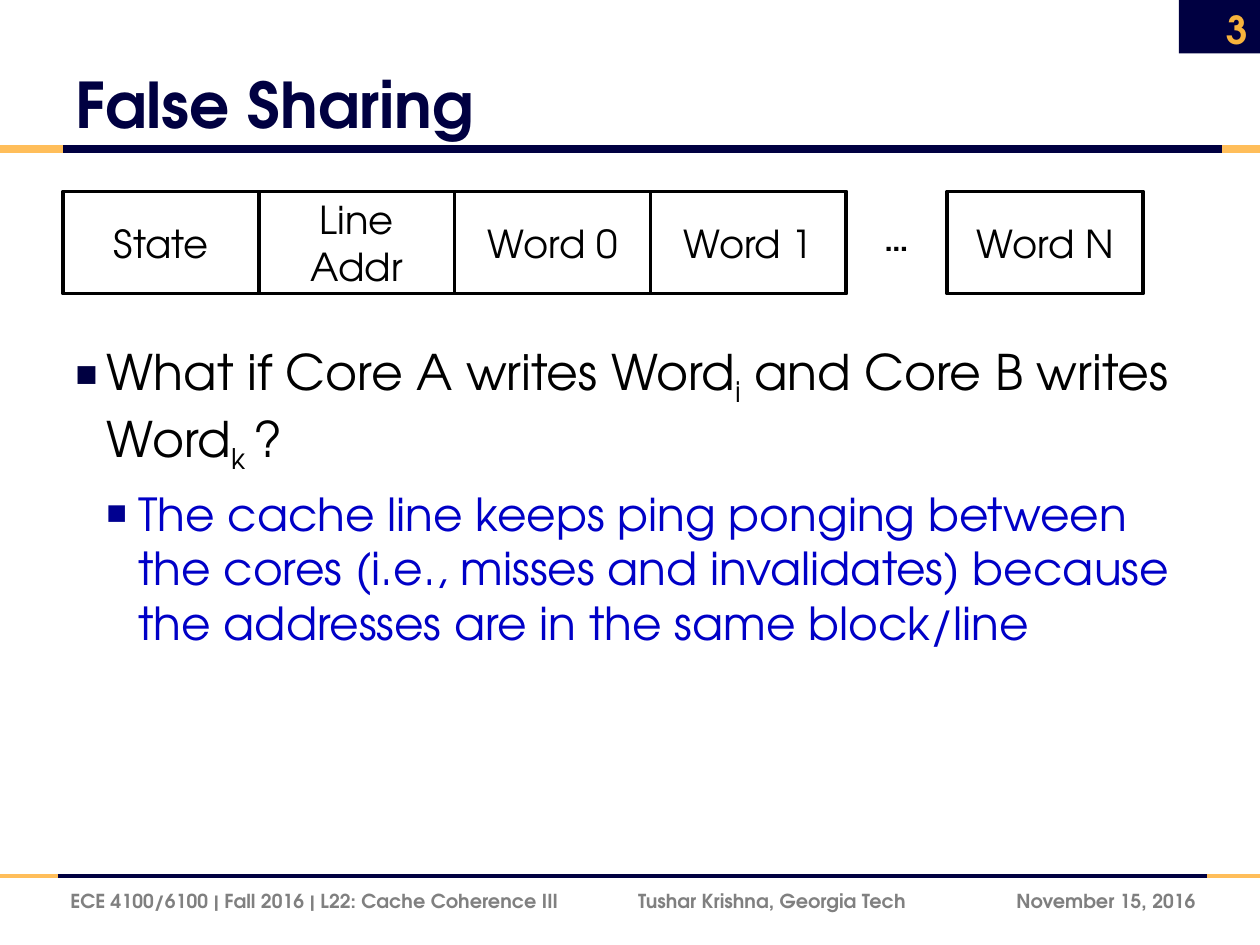
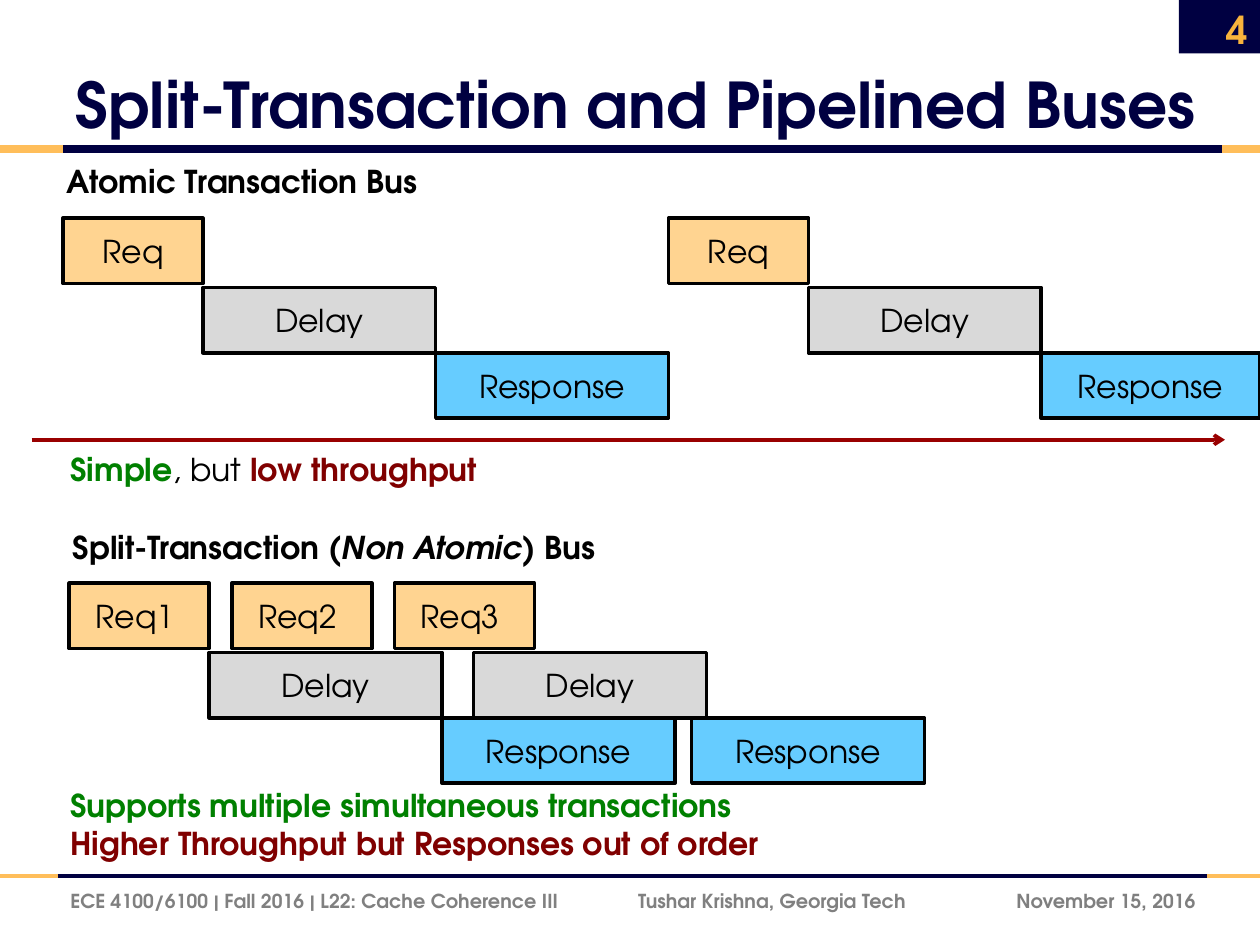
from dataclasses import dataclass

import lxml.etree
import pptx
import pptx.dml.color
import pptx.enum.shapes
import pptx.enum.text
import pptx.oxml.ns
import pptx.util

Pt = pptx.util.Pt
Align = pptx.enum.text.PP_ALIGN
Anchor = pptx.enum.text.MSO_ANCHOR


@dataclass(frozen=True)
class Theme:
    font: str = "TeX Gyre Adventor"
    navy: str = "000041"
    gold: str = "FFBE5A"
    number: str = "F8B33C"
    footer: str = "808080"
    date: str = "7F7F7F"
    black: str = "000000"
    white: str = "FFFFFF"
    detail: str = "0000C7"
    detail_bullet: str = "000090"
    good: str = "008000"
    bad: str = "800000"
    arrow: str = "990000"
    request: str = "FFD491"
    delay: str = "D9D9D9"
    response: str = "66CCFF"
    title_size: int = 36
    question_size: int = 28
    detail_size: int = 26
    cell_size: int = 22
    label_size: int = 18
    footer_size: int = 11


THEME = Theme()
ROW_TOPS = (0, 39.6, 77)
BAR_HEIGHT = 37.4
REQUEST_WIDTH = 80
PHASE_WIDTH = 133


def rgb(color):
    return pptx.dml.color.RGBColor.from_string(color)


def add_xml(parent, tag, **attributes):
    return lxml.etree.SubElement(parent, pptx.oxml.ns.qn(tag), **attributes)


def add_before_defaults(para, tag, **attributes):
    properties = para._p.get_or_add_pPr()
    element = add_xml(properties, tag, **attributes)
    properties.find(pptx.oxml.ns.qn("a:defRPr")).addprevious(element)
    return element


def style_para(para, size, color, bold=False, align=Align.LEFT):
    para.alignment = align
    para.font.name = THEME.font
    para.font.size = Pt(size)
    para.font.bold = bold
    para.font.color.rgb = rgb(color)


def add_span(para, text, color=None, bold=None, italic=None, subscript=False):
    span = para.add_run()
    span.text = text
    if color:
        span.font.color.rgb = rgb(color)
    if bold is not None:
        span.font.bold = bold
    if italic is not None:
        span.font.italic = italic
    if subscript:
        span._r.get_or_add_rPr().set("baseline", "-25000")


def add_box(page, left, top, width, height, anchor=Anchor.TOP):
    box = page.shapes.add_textbox(Pt(left), Pt(top), Pt(width), Pt(height))
    box.text_frame.word_wrap = True
    box.text_frame.vertical_anchor = anchor
    return box.text_frame


def add_label(page, text, left, top, width, height=28.8, size=THEME.label_size,
              color=THEME.black, align=Align.LEFT, anchor=Anchor.TOP):
    para = add_box(page, left, top, width, height, anchor).paragraphs[0]
    style_para(para, size, color, True, align)
    if text:
        add_span(para, text)
    return para


def add_rectangle(page, left, top, width, height, fill, outline=None):
    shape = page.shapes.add_shape(pptx.enum.shapes.MSO_SHAPE.RECTANGLE,
                                  Pt(left), Pt(top), Pt(width), Pt(height))
    shape.shadow.inherit = False
    shape.fill.solid()
    shape.fill.fore_color.rgb = rgb(fill)
    if outline:
        shape.line.color.rgb = rgb(outline)
        shape.line.width = Pt(2)
    else:
        shape.line.fill.background()
    return shape


def add_block(page, text, left, top, width, height, fill, size):
    frame = add_rectangle(page, left, top, width, height, fill, THEME.black).text_frame
    frame.word_wrap = True
    frame.vertical_anchor = Anchor.MIDDLE
    style_para(frame.paragraphs[0], size, THEME.black, align=Align.CENTER)
    add_span(frame.paragraphs[0], text)


def add_line(page, start, end, top, color, weight, arrow=False):
    line = page.shapes.add_connector(pptx.enum.shapes.MSO_CONNECTOR.STRAIGHT,
                                     Pt(start), Pt(top), Pt(end), Pt(top))
    line.line.color.rgb = rgb(color)
    line.line.width = Pt(weight)
    properties = line._element.spPr
    if arrow:
        add_xml(properties.find(pptx.oxml.ns.qn("a:ln")), "a:tailEnd", type="arrow")
    add_xml(properties, "a:effectLst")


def add_band(page, top, navy_start, navy_end, weight):
    stops = (0, navy_start, navy_end, 720)
    colors = (THEME.gold, THEME.navy, THEME.gold)
    for start, end, color in zip(stops, stops[1:], colors):
        add_line(page, start, end, top, color, weight)


def add_footer(page):
    add_label(page, "November 15, 2016", 552.2, 500.4, 138.2, size=THEME.footer_size,
              color=THEME.date, align=Align.RIGHT, anchor=Anchor.MIDDLE)
    para = add_label(page, "ECE 4100/6100 | Fall 2016 | L22: Cache Coherence III\t"
                     "Tushar Krishna, Georgia Tech", 33.1, 500.4, 535,
                     size=THEME.footer_size, color=THEME.footer, anchor=Anchor.MIDDLE)
    tabs = add_before_defaults(para, "a:tabLst")
    add_xml(tabs, "a:tab", pos=str(int(Pt(324.5))), algn="l")


def add_page(deck, title, number, title_width):
    page = deck.slides.add_slide(deck.slide_layouts[5])
    holder = page.shapes.title
    holder.left, holder.top = Pt(36), Pt(12.2)
    holder.width, holder.height = Pt(title_width), Pt(72)
    frame = holder.text_frame
    frame.auto_size = pptx.enum.text.MSO_AUTO_SIZE.NONE
    frame.vertical_anchor = Anchor.BOTTOM
    style_para(frame.paragraphs[0], THEME.title_size, THEME.navy, True)
    add_span(frame.paragraphs[0], title)
    add_rectangle(page, 673.6, 0, 46.4, 30.5, THEME.navy)
    add_band(page, 85, 36, 698.4, 4.5)
    add_band(page, 500.4, 33.1, 689.8, 2.25)
    add_footer(page)
    add_label(page, str(number), 672.5, 2.2, 48, size=THEME.cell_size,
              color=THEME.number, align=Align.RIGHT, anchor=Anchor.MIDDLE)
    return page


def format_bullet(para, level, size, color, bullet_color, space_before):
    style_para(para, size, color)
    para.level = level
    para.space_before = Pt(space_before)
    properties = para._p.get_or_add_pPr()
    properties.set("marL", str(int(Pt(18 * (level + 1)))))
    properties.set("indent", str(int(Pt(-18))))
    add_xml(add_before_defaults(para, "a:buClr"), "a:srgbClr", val=bullet_color)
    add_before_defaults(para, "a:buSzPct", val="65000")
    add_before_defaults(para, "a:buFont", typeface=THEME.font)
    add_before_defaults(para, "a:buChar", char="■")


def build_false_sharing(deck):
    page = add_page(deck, "False Sharing", 3, 589)
    cell_width = 111.9
    fields = ("State", "Line Addr", "Word 0", "Word 1")
    lefts = [36 + index * cell_width for index in range(len(fields))]
    for text, left in zip(fields + ("Word N",), lefts + [541.3]):
        add_block(page, text, left, 109.4, cell_width, 58.5, THEME.white, THEME.cell_size)
    add_label(page, "…", 498.2, 122.4, 40.3)

    frame = add_box(page, 36, 191.5, 653.8, 303.1)
    question = frame.paragraphs[0]
    format_bullet(question, 0, THEME.question_size, THEME.black, THEME.navy, 18)
    add_span(question, "What if Core A writes Word")
    add_span(question, "i", subscript=True)
    add_span(question, " and Core B writes Word")
    add_span(question, "k ", subscript=True)
    add_span(question, "?")
    answer = frame.add_paragraph()
    format_bullet(answer, 1, THEME.detail_size, THEME.detail, THEME.detail_bullet, 6)
    add_span(answer, "The cache line keeps ping ponging between the cores (i.e., misses and "
             "invalidates) because the addresses are in the same block/line")


def add_phase(page, text, row, left, chart_top, width, fill):
    add_block(page, text, left, chart_top + ROW_TOPS[row], width, BAR_HEIGHT,
              fill, THEME.label_size)


def add_request(page, text, left, chart_top):
    add_phase(page, text, 0, left, chart_top, REQUEST_WIDTH, THEME.request)


def add_delay(page, left, chart_top):
    add_phase(page, "Delay", 1, left, chart_top, PHASE_WIDTH, THEME.delay)


def add_response(page, left, chart_top):
    width = min(PHASE_WIDTH, 720 - left)
    add_phase(page, "Response", 2, left, chart_top, width, THEME.response)


def build_buses(deck):
    page = add_page(deck, "Split-Transaction and Pipelined Buses", 4, 684)
    add_label(page, "Atomic Transaction Bus", 31, 89.3, 259.2)
    atomic_top = 124.6
    for start in (36, 36 + REQUEST_WIDTH + 2 * PHASE_WIDTH):
        delay_start = start + REQUEST_WIDTH
        add_request(page, "Req", start, atomic_top)
        add_delay(page, delay_start, atomic_top)
        add_response(page, delay_start + PHASE_WIDTH, atomic_top)
    add_line(page, 18, 700, 251.3, THEME.arrow, 2, arrow=True)

    verdict = add_label(page, "", 33.1, 253.4, 294.5)
    add_span(verdict, "Simple", THEME.good)
    add_span(verdict, ", but ", bold=False)
    add_span(verdict, "low throughput", THEME.bad)

    heading = add_label(page, "", 34.6, 298.1, 334.8)
    add_span(heading, "Split-Transaction ")
    add_span(heading, "(Non Atomic)", italic=True)
    add_span(heading, " Bus")
    split_top = 333.2
    for index in range(3):
        add_request(page, f"Req{index + 1} ", 39.6 + 92.9 * index, split_top)
    for left in (119.5, 270.7):
        add_delay(page, left, split_top)
    for left in (252.7, 395.3):
        add_response(page, left, split_top)

    summary = add_box(page, 33.1, 445.7, 452.9, 51.1)
    lines = (("Supports multiple simultaneous transactions", THEME.good),
             ("Higher Throughput but Responses out of order", THEME.bad))
    for index, (text, color) in enumerate(lines):
        para = summary.add_paragraph() if index else summary.paragraphs[0]
        style_para(para, THEME.label_size, color, True)
        add_span(para, text)


def main():
    deck = pptx.Presentation()
    deck.slide_width, deck.slide_height = Pt(720), Pt(540)
    build_false_sharing(deck)
    build_buses(deck)
    deck.save("out.pptx")


if __name__ == "__main__":
    main()
